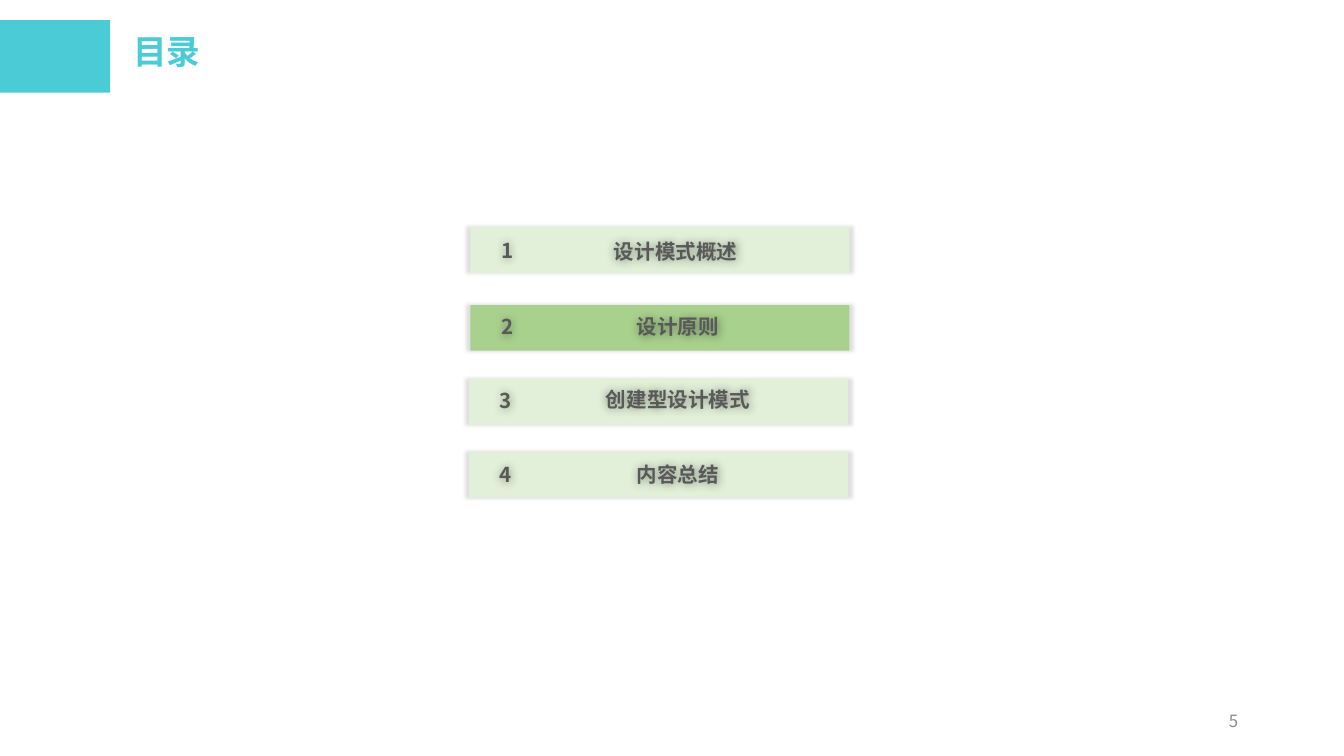
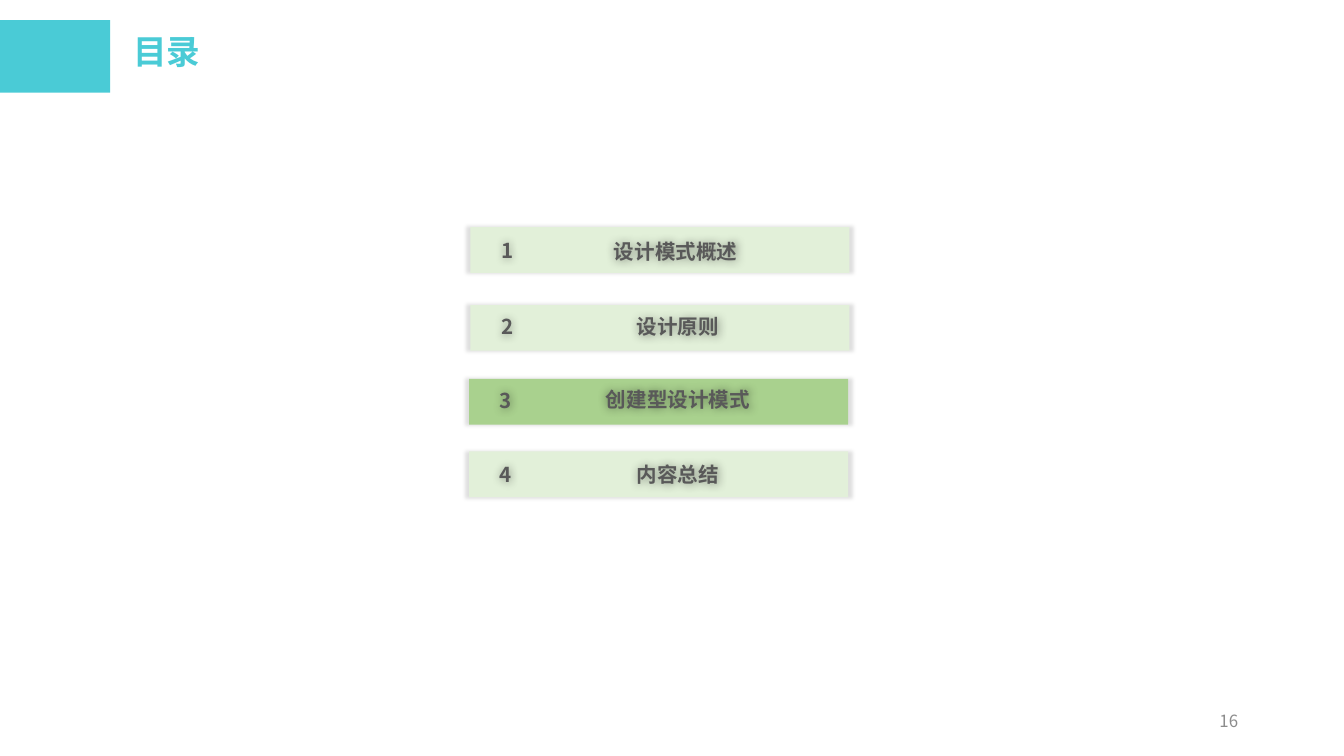
"""Build two agenda slides, each with the current topic highlighted."""
from typing import NamedTuple

from lxml.etree import SubElement as Sub
from pptx import Presentation
from pptx.dml.color import RGBColor
from pptx.enum.shapes import MSO_SHAPE as Geo
from pptx.enum.text import MSO_ANCHOR as Anchor, MSO_AUTO_SIZE as Fit, PP_ALIGN as Align
from pptx.oxml.ns import qn
from pptx.shapes.base import BaseShape as Shape
from pptx.slide import Slide
from pptx.text.text import TextFrame as Frame, _Paragraph as Para
from pptx.util import Inches, Pt

FONT = "Noto Sans CJK SC"
TEAL, PALE, GREEN = "4ACBD6", "E2F0D9", "A9D18E"
INK, GRAY, BLACK = "595959", "8C8C8C", "000000"
BAR_W, BAR_H, TEXT_H = 2.82, 0.34, 0.29


class Topic(NamedTuple):
    label: str
    left: float
    top: float
    num_top: float
    text_left: float
    text_top: float
    text_w: float


class Page(NamedTuple):
    number: int
    active: int


TOPICS = [
    Topic("设计模式概述", 3.5, 1.69, 1.72, 4.47, 1.73, 1.13),
    Topic("设计原则", 3.5, 2.27, 2.29, 4.64, 2.29, 0.82),
    Topic("创建型设计模式", 3.49, 2.82, 2.84, 4.41, 2.83, 1.28),
    Topic("内容总结", 3.49, 3.36, 3.39, 4.64, 3.39, 0.82),
]
PAGES = [Page(5, 2), Page(16, 3)]


def color(code: str) -> RGBColor:
    return RGBColor.from_string(code)


def write(para: Para, text: str, size: float, code: str, bold: bool = False) -> None:
    run = para.add_run()
    run.text = text
    font = run.font
    font.name, font.size, font.bold = FONT, Pt(size), bold
    font.color.rgb = color(code)
    Sub(font._element, qn("a:ea"), typeface=FONT)


def inset(frame: Frame) -> None:
    frame.margin_left = frame.margin_right = Inches(0.1)
    frame.margin_top = frame.margin_bottom = Inches(0.05)


def shade(shape: Shape, blur: float, alpha: int) -> None:
    shape.shadow.inherit = False
    glow = Sub(shape._element.spPr.find(qn("a:effectLst")), qn("a:outerShdw"),
               blurRad=str(Pt(blur)), sx="102000", sy="102000",
               algn="ctr", rotWithShape="0")
    tint = Sub(glow, qn("a:srgbClr"), val=BLACK)
    Sub(tint, qn("a:alpha"), val=str(alpha * 1000))


def block(slide: Slide, left: float, top: float, width: float, height: float,
          fill: str) -> Shape:
    rect = slide.shapes.add_shape(Geo.RECTANGLE, Inches(left), Inches(top),
                                  Inches(width), Inches(height))
    rect.fill.solid()
    rect.fill.fore_color.rgb = color(fill)
    rect.line.fill.background()
    rect.shadow.inherit = False
    return rect


def label(slide: Slide, left: float, top: float, width: float, text: str) -> None:
    box = slide.shapes.add_textbox(Inches(left), Inches(top), Inches(width), Inches(TEXT_H))
    frame = box.text_frame
    frame.word_wrap, frame.auto_size = False, Fit.SHAPE_TO_FIT_TEXT
    inset(frame)
    write(frame.paragraphs[0], text, 11, INK, True)
    shade(box, 5, 40)


def head(slide: Slide, text: str) -> None:
    title = slide.shapes.title
    title.left, title.top = Inches(0.89), Inches(0.24)
    title.width, title.height = Inches(2.2), Inches(0.46)
    frame = title.text_frame
    frame.vertical_anchor, frame.auto_size = Anchor.TOP, Fit.NONE
    inset(frame)
    para = frame.paragraphs[0]
    para.alignment, para.line_spacing, para.space_before = Align.LEFT, 0.8, Pt(7.5)
    write(para, text, 18, TEAL, True)
    block(slide, 0, 0.15, 0.82, 0.54, TEAL)


def foot(slide: Slide, number: int) -> None:
    box = slide.shapes.add_textbox(Inches(7.06), Inches(5.21), Inches(2.25), Inches(0.3))
    frame = box.text_frame
    frame.word_wrap, frame.vertical_anchor = True, Anchor.MIDDLE
    para = frame.paragraphs[0]
    para.alignment = Align.RIGHT
    write(para, str(number), 9, GRAY)


def entry(slide: Slide, topic: Topic, index: int, active: bool) -> None:
    bar = block(slide, topic.left, topic.top, BAR_W, BAR_H, GREEN if active else PALE)
    shade(bar, 2, 12)
    label(slide, topic.left + 0.13, topic.num_top, 0.3, str(index))
    label(slide, topic.text_left, topic.text_top, topic.text_w, topic.label)


def main() -> None:
    deck = Presentation()
    deck.slide_width = Inches(10)
    deck.slide_height = deck.slide_width * 9 // 16
    for page in PAGES:
        slide = deck.slides.add_slide(deck.slide_layouts[5])
        head(slide, "目录")
        foot(slide, page.number)
        for index, topic in enumerate(TOPICS, 1):
            entry(slide, topic, index, index == page.active)
    deck.save("out.pptx")


if __name__ == "__main__":
    main()
